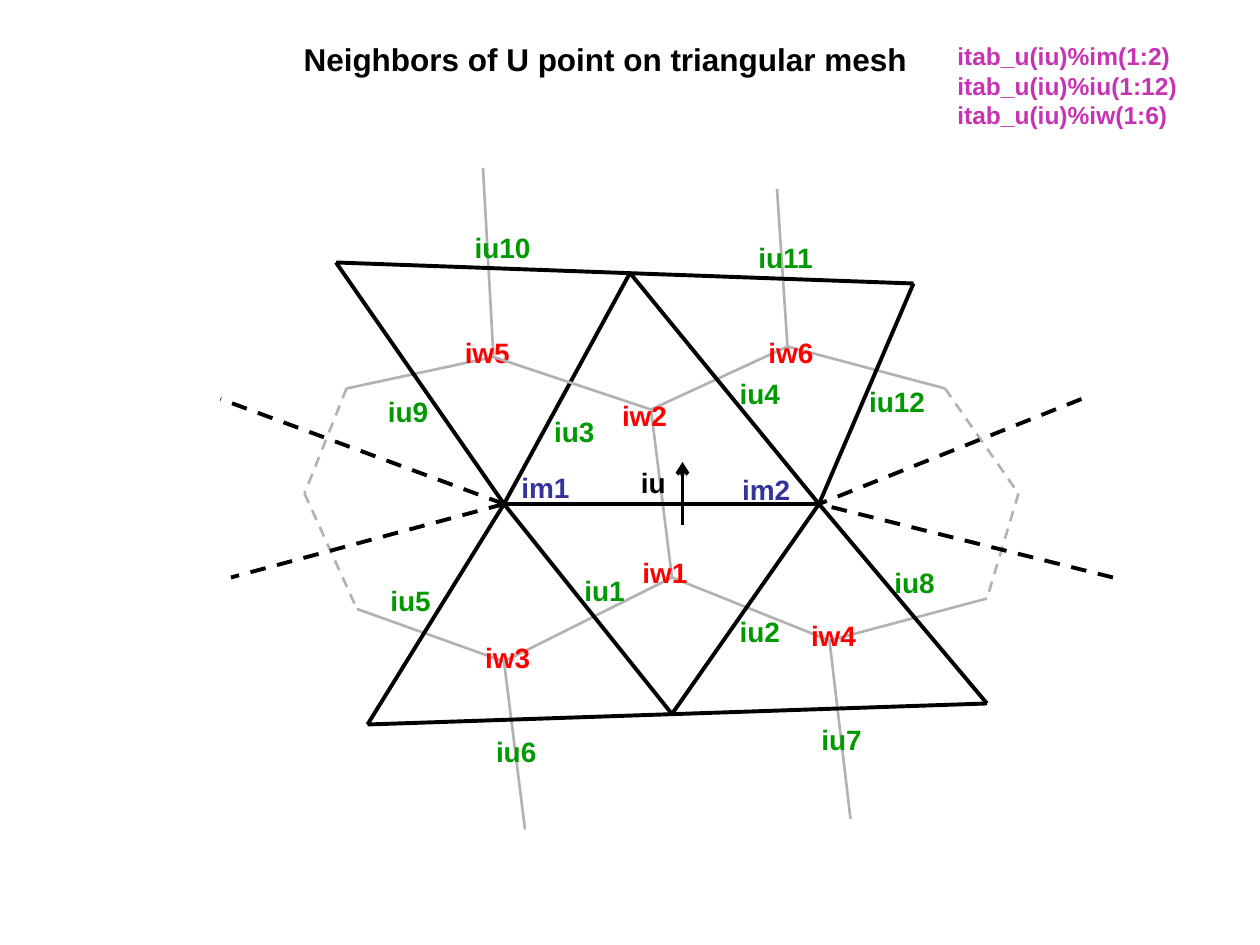
from lxml.etree import SubElement
from pptx import Presentation
from pptx.dml.color import RGBColor
from pptx.enum.dml import MSO_LINE
from pptx.enum.shapes import MSO_CONNECTOR as CONNECTOR
from pptx.enum.text import MSO_AUTO_SIZE as AUTO_SIZE
from pptx.oxml.ns import qn
from pptx.util import Cm, Pt

GRID = 2.54 / 12  # every mesh point lies on this grid, in cm
BLACK, GREY, RED, GREEN, BLUE, PINK = (
    "000000", "B2B2B2", "FF0000", "009900", "333399", "C733B2")

presentation = Presentation()
presentation.slide_width = Cm(25.4)
presentation.slide_height = Cm(19.05)
slide = presentation.slides.add_slide(presentation.slide_layouts[6])

points = {
    # Triangle corners and the far ends of the open edges
    "im1": (48, 48), "im2": (78, 48), "top": (60, 26), "bottom": (64, 68),
    "top left": (32, 25), "top right": (87, 27),
    "bottom left": (35, 69), "bottom right": (94, 67),
    "far left up": (21, 38), "far left down": (22, 55),
    "far right up": (103, 38), "far right down": (106, 55),
    # Triangle centres and the outer corners of the grey cells
    "iw1": (64, 55), "iw2": (62, 39), "iw3": (48, 63),
    "iw4": (79, 61), "iw5": (47, 34), "iw6": (75, 33),
    "left up": (33, 37), "left": (29, 47), "left down": (34, 58),
    "right up": (90, 37), "right": (97, 47), "right down": (94, 57),
    "above iw5": (46, 16), "above iw6": (74, 18),
    "below iw3": (50, 79), "below iw4": (81, 78),
    # Direction of U
    "arrow start": (65, 50), "arrow end": (65, 44),
}


def draw_path(names, color, width, dash=None):
    """Join the named points with straight lines and return the last line."""
    for start, end in zip(names, names[1:]):
        ends = [Cm(GRID * value) for value in points[start] + points[end]]
        connector = slide.shapes.add_connector(CONNECTOR.STRAIGHT, *ends)
        connector.line.color.rgb = RGBColor.from_string(color)
        connector.line.width = Pt(width)
        if dash:
            connector.line.dash_style = dash
        SubElement(connector._element.spPr, qn("a:effectLst"))
    return connector


def add_label(text, left, top, width, height, color, size=16):
    shape = slide.shapes.add_textbox(Cm(left), Cm(top), Cm(width), Cm(height))
    frame = shape.text_frame
    frame.word_wrap = False
    frame.auto_size = AUTO_SIZE.SHAPE_TO_FIT_TEXT
    frame.text = text
    font_format = {"name": "Arial", "size": Pt(size), "bold": True}
    for paragraph in frame.paragraphs:
        font = paragraph.runs[0].font
        for attribute, value in font_format.items():
            setattr(font, attribute, value)
        font.color.rgb = RGBColor.from_string(color)


# Grey cells around the two M points
for names in (
    ["right up", "right", "right down"],
    ["left up", "left", "left down"],
):
    draw_path(names, GREY, 1.5, MSO_LINE.DASH)
for names in (
    ["below iw4", "iw4"],
    ["above iw6", "iw6"],
    ["above iw5", "iw5", "left up"],
    ["left down", "iw3", "below iw3"],
    ["iw3", "iw1", "iw4", "right down"],
    ["iw1", "iw2", "iw6", "right up"],
):
    draw_path(names, GREY, 1.5)

# Black triangles
for names in (
    ["im1", "im2", "top", "im1", "bottom", "im2"],
    ["im1", "top left", "top right", "im2"],
    ["im1", "bottom left", "bottom right", "im2"],
):
    draw_path(names, BLACK, 2.25)

arrow = draw_path(["arrow start", "arrow end"], BLACK, 2.25)
SubElement(arrow.line._get_or_add_ln(), qn("a:tailEnd"), type="arrow")

# Labels: width and colour of each group, then left and top of each label
label_groups = [
    (1.1, BLACK, {"iu": (12.67, 9.27)}),
    (1.45, RED, {
        "iw1": (12.7, 11.07), "iw3": (9.53, 12.78), "iw5": (9.12, 6.63),
        "iw6": (15.24, 6.63), "iw2": (12.29, 7.9), "iw4": (16.1, 12.34)}),
    (1.35, GREEN, {
        "iu1": (11.53, 11.43), "iu2": (14.66, 12.27), "iu3": (10.92, 8.23),
        "iu4": (14.66, 7.47), "iu5": (7.62, 11.63), "iu6": (9.75, 14.68),
        "iu7": (16.31, 14.45), "iu8": (17.78, 11.28), "iu9": (7.57, 7.82)}),
    (1.67, GREEN, {
        "iu10": (9.32, 4.52), "iu11": (15.04, 4.72), "iu12": (17.27, 7.62)}),
    (1.5, BLUE, {"im1": (10.26, 9.37), "im2": (14.71, 9.4)}),
]
for width, color, labels in label_groups:
    for text, (left, top) in labels.items():
        add_label(text, left, top, width, 0.94, color)

# Lines in front of the labels
draw_path(["iw5", "iw2"], GREY, 1.5)
for names in (
    ["im1", "far left up"],
    ["far right up", "im2"],
    ["im1", "far left down"],
    ["far right down", "im2"],
):
    draw_path(names, BLACK, 2.25, MSO_LINE.DASH)

add_label("Neighbors of U point on triangular mesh",
          5.87, 0.69, 12.85, 1.02, BLACK, 18)
add_label("itab_u(iu)%im(1:2)\nitab_u(iu)%iu(1:12)\nitab_u(iu)%iw(1:6)",
          19.05, 0.71, 5, 2.03, PINK, 14)

presentation.save("out.pptx")
